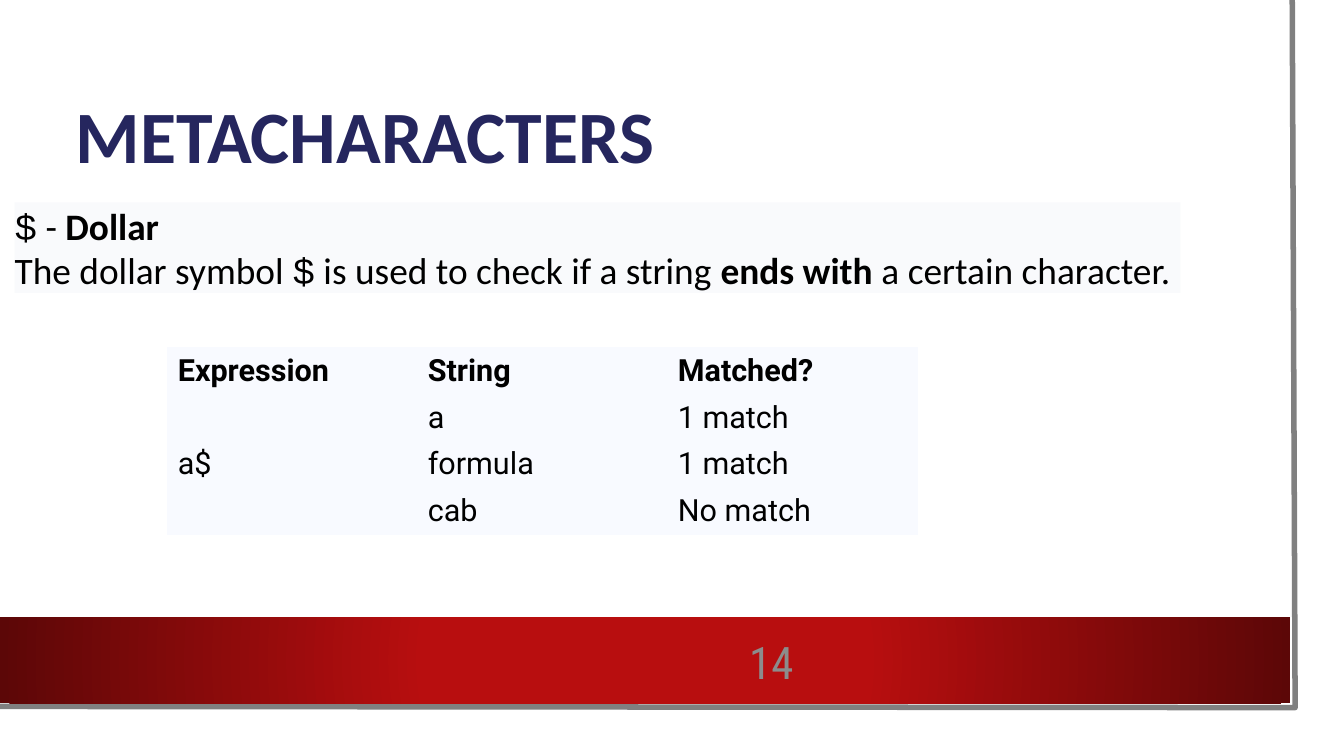
from lxml import etree
from pptx import Presentation
from pptx.dml.color import RGBColor
from pptx.enum.shapes import MSO_SHAPE as Preset
from pptx.enum.text import MSO_ANCHOR as Anchor, MSO_AUTO_SIZE as AutoSize, PP_ALIGN as Align
from pptx.oxml.ns import qn
from pptx.util import Cm, Pt

# Content: each paragraph is a list of (text, format) spans
TITLE = [[("METACHARACTERS", {})]]
BOLD, MONO = {"bold": True}, {"font": "Courier New"}
EXPLANATION = [
    [("$", MONO), (" - ", {}), ("Dollar", BOLD)],
    [("The dollar symbol ", {}), ("$", MONO), (" is used to check if a string ", {}),
     ("ends with", BOLD), (" a certain character.", {})],
]
HEADER = ["Expression", "String", "Matched?"]
EXPRESSION = "a$"
MATCHES = [("a", "1 match"), ("formula", "1 match"), ("cab", "No match")]
PAGE_NUMBER = [[("14", {})]]

# Colours
WHITE = RGBColor(0xFF, 0xFF, 0xFF)
BLACK = RGBColor(0x00, 0x00, 0x00)
NAVY = RGBColor(0x25, 0x26, 0x5E)
FRAME_GREY = RGBColor(0x80, 0x80, 0x80)
NUMBER_GREY = RGBColor(0x8C, 0x8C, 0x8C)
RED = RGBColor(0xB8, 0x0E, 0x0F)
DARK_RED = RGBColor(0x5C, 0x07, 0x07)
PALE_GREY = RGBColor(0xF9, 0xFA, 0xFC)
PALE_BLUE = RGBColor(0xF8, 0xFA, 0xFF)

# Layout in centimetres
FRAME_POINTS = [(53.7, 0), (53.82, 29.41), (-0.13, 29.36)]
COLUMN_WIDTH, ROW_HEIGHT = 10.39, 1.95
NO_STYLE_NO_GRID = "{2D5ABB26-0587-4C30-8999-92F81FD0307C}"


def write(text_frame, paragraphs, size, font="Calibri", color=BLACK, bold=False,
          align=Align.LEFT, spacing=None, wrap=True):
    text_frame.word_wrap = wrap
    text_frame.vertical_anchor = Anchor.MIDDLE
    text_frame.margin_left = text_frame.margin_right = 0
    text_frame.margin_top = text_frame.margin_bottom = 0
    for index, spans in enumerate(paragraphs):
        para = text_frame.add_paragraph() if index else text_frame.paragraphs[0]
        para.alignment = align
        if spacing:
            para.line_spacing = spacing
        for text, style in spans:
            span = para.add_run()
            span.text = text
            span.font.size = Pt(size)
            span.font.name = style.get("font", font)
            span.font.bold = style.get("bold", bold)
            span.font.color.rgb = color


def add_rectangle(page, left, top, width, height, color=None):
    box = page.shapes.add_shape(Preset.RECTANGLE, Cm(left), Cm(top), Cm(width), Cm(height))
    box.shadow.inherit = False
    box.line.fill.background()
    if color is not None:
        box.fill.solid()
        box.fill.fore_color.rgb = color
    return box


def fill_radial(shape, stops):
    shape.fill.gradient()
    for stop, (position, color) in zip(shape.fill.gradient_stops, stops):
        stop.position = position
        stop.color.rgb = color
    gradient = shape.element.spPr.find(qn("a:gradFill"))
    gradient.remove(gradient.find(qn("a:lin")))
    circle = etree.SubElement(gradient, qn("a:path"), path="circle")
    etree.SubElement(circle, qn("a:fillToRect"), l="50000", t="50000", r="50000", b="50000")


def add_text(page, left, top, width, height, paragraphs, **style):
    box = page.shapes.add_textbox(Cm(left), Cm(top), Cm(width), Cm(height))
    write(box.text_frame, paragraphs, **style)


def fill_cell(cell, text, bold):
    write(cell.text_frame, [[(text, {})]], size=36, font="Roboto", bold=bold)
    cell.vertical_anchor = Anchor.MIDDLE
    cell.margin_left = cell.margin_right = Cm(0.43)
    cell.margin_top = cell.margin_bottom = Cm(0.2)
    cell.fill.solid()
    cell.fill.fore_color.rgb = PALE_BLUE


def add_match_table(page, left, top):
    rows = [HEADER] + [("" if index else EXPRESSION, *match) for index, match in enumerate(MATCHES)]
    frame = page.shapes.add_table(len(rows), len(HEADER), Cm(left), Cm(top),
                                  Cm(COLUMN_WIDTH * len(HEADER)), Cm(ROW_HEIGHT * len(rows)))
    frame.element.xpath(".//a:tableStyleId")[0].text = NO_STYLE_NO_GRID
    table = frame.table
    table.first_row = table.horz_banding = False
    for column in table.columns:
        column.width = Cm(COLUMN_WIDTH)
    for row, texts in enumerate(rows):
        table.rows[row].height = Cm(ROW_HEIGHT)
        for column, text in enumerate(texts):
            fill_cell(table.cell(row, column), text, bold=row == 0)
    table.cell(1, 0).merge(table.cell(len(MATCHES), 0))


def main():
    deck = Presentation()
    deck.slide_width, deck.slide_height = Cm(55.85), Cm(31.42)
    page = deck.slides.add_slide(deck.slide_layouts[6])

    # Sheet, grey edge and red band
    add_rectangle(page, 0, 0, 54.86, 30.43, WHITE)
    corners = [(Cm(x), Cm(y)) for x, y in FRAME_POINTS]
    builder = page.shapes.build_freeform(*corners[0])
    builder.add_line_segments(corners[1:], close=False)
    edge = builder.convert_to_shape()
    edge.shadow.inherit = False
    edge.fill.background()
    edge.line.color.rgb = FRAME_GREY
    edge.line.width = Pt(6.5)
    band = add_rectangle(page, 0, 25.65, 53.62, 3.58)
    fill_radial(band, [(0.34, RED), (1, DARK_RED)])

    # Title and explanation
    add_text(page, 3.15, 3.15, 47.63, 5.28, TITLE, size=87, color=NAVY, bold=True, spacing=0.9)
    explanation = add_rectangle(page, 0.61, 8.41, 48.44, 3.76, PALE_GREY)
    write(explanation.text_frame, EXPLANATION, size=44, wrap=False)
    explanation.text_frame.auto_size = AutoSize.SHAPE_TO_FIT_TEXT

    # Match table and page number
    add_match_table(page, 6.96, 14.43)
    add_text(page, 28.8, 26.37, 4.17, 2.29, PAGE_NUMBER, size=52.8, font="Roboto Condensed",
             color=NUMBER_GREY, align=Align.RIGHT)

    deck.save("out.pptx")


if __name__ == "__main__":
    main()
